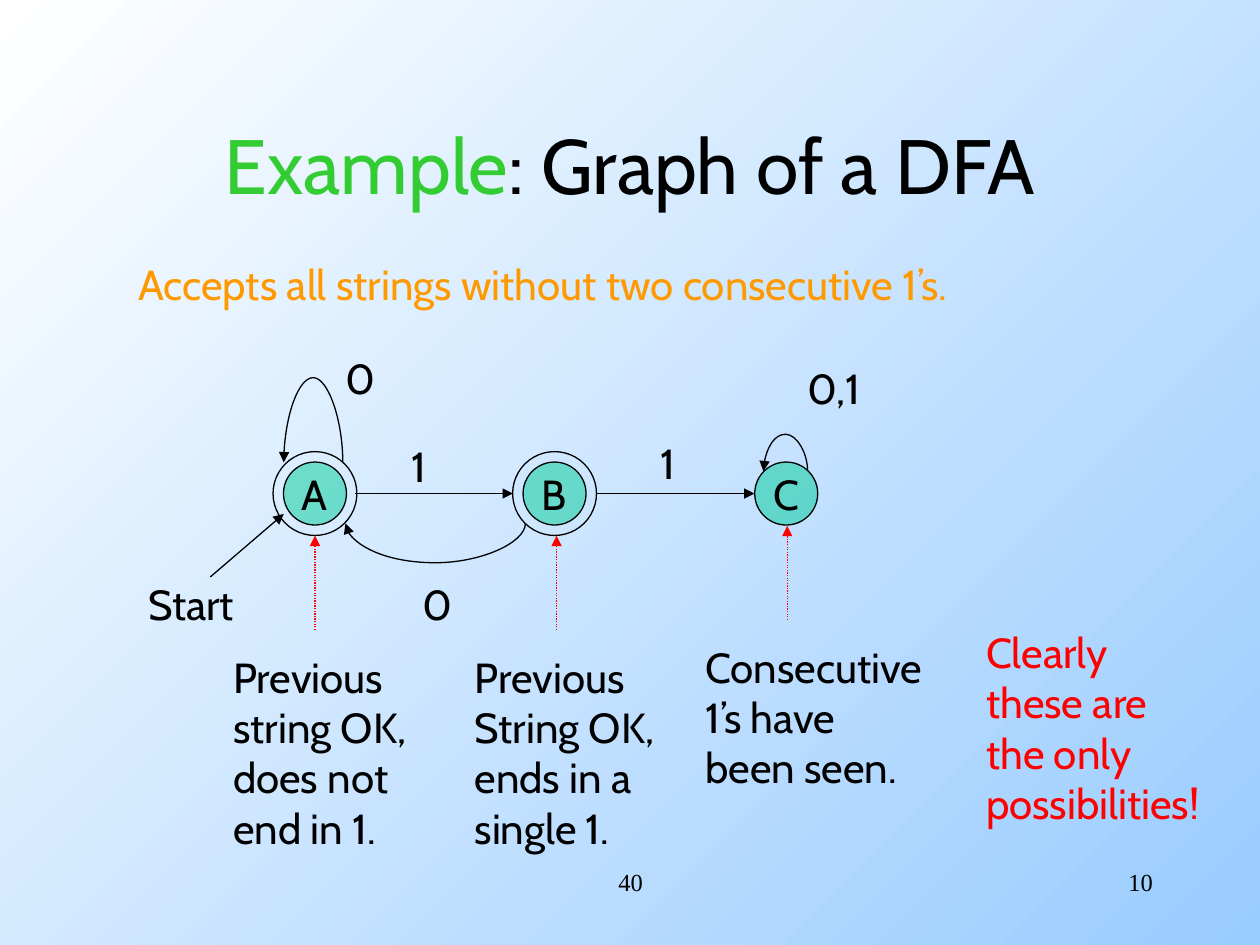
from dataclasses import dataclass

from lxml.etree import SubElement
from pptx import Presentation
from pptx.dml.color import RGBColor
from pptx.enum.dml import MSO_LINE
from pptx.enum.shapes import MSO_CONNECTOR, MSO_SHAPE
from pptx.enum.text import MSO_ANCHOR, MSO_AUTO_SIZE, PP_ALIGN
from pptx.oxml.ns import qn
from pptx.util import Cm, Emu, Pt


@dataclass(frozen=True)
class Theme:
    font: str = "Cabin"
    number_font: str = "Times New Roman"
    title_size: int = 44
    body_size: int = 24
    number_size: int = 14
    line_width: float = 0.75
    black: RGBColor = RGBColor(0, 0, 0)
    white: RGBColor = RGBColor(255, 255, 255)
    sky: RGBColor = RGBColor(0x99, 0xCC, 0xFF)
    green: RGBColor = RGBColor(0x33, 0xCC, 0x33)
    teal: RGBColor = RGBColor(0, 0xCC, 0x99)
    orange: RGBColor = RGBColor(0xFF, 0x99, 0)
    red: RGBColor = RGBColor(0xFF, 0, 0)


class SlideBuilder:
    def __init__(self, slide, theme):
        self.s = slide
        self.theme = theme

    def background(self):
        fill = self.s.background.fill
        fill.gradient()
        fill.gradient_angle = 315
        for stop, color in zip(fill.gradient_stops, (self.theme.white, self.theme.sky)):
            stop.color.rgb = color

    def style(self, p, color, align=PP_ALIGN.LEFT, size=None, font=None):
        p.alignment = align
        p.font.name = font or self.theme.font
        p.font.size = Pt(size or self.theme.body_size)
        if color is not None:
            p.font.color.rgb = color

    def title(self, parts, left, top, width, height):
        sp = self.s.shapes.title
        sp.left, sp.top, sp.width, sp.height = map(Cm, (left, top, width, height))
        tf = sp.text_frame
        tf.vertical_anchor = MSO_ANCHOR.MIDDLE
        p = tf.paragraphs[0]
        self.style(p, None, PP_ALIGN.CENTER, self.theme.title_size)
        for text, color in parts:
            r = p.add_run()
            r.text = text
            r.font.color.rgb = color

    def text(self, text, left, top, width, height=1.27, color=None, wrap=False, **style):
        sp = self.s.shapes.add_textbox(Cm(left), Cm(top), Cm(width), Cm(height))
        tf = sp.text_frame
        tf.text = text
        tf.word_wrap = wrap
        tf.auto_size = MSO_AUTO_SIZE.SHAPE_TO_FIT_TEXT
        for p in tf.paragraphs:
            self.style(p, color or self.theme.black, **style)

    def circle(self, x, y, diameter):
        corner = Cm(x - diameter / 2), Cm(y - diameter / 2)
        sp = self.s.shapes.add_shape(MSO_SHAPE.OVAL, *corner, Cm(diameter), Cm(diameter))
        sp.shadow.inherit = False
        sp.fill.background()
        sp.line.color.rgb = self.theme.black
        sp.line.width = Pt(self.theme.line_width)
        return sp

    def state(self, name, x, y, accepting):
        sp = self.circle(x, y, 1.27)
        sp.fill.solid()
        sp.fill.fore_color.rgb = self.theme.teal
        color = sp._element.spPr.find(qn("a:solidFill"))[0]
        SubElement(color, qn("a:alpha"), val="50000")
        tf = sp.text_frame
        tf.text = name
        tf.word_wrap = False
        tf.vertical_anchor = MSO_ANCHOR.MIDDLE
        self.style(tf.paragraphs[0], self.theme.black, PP_ALIGN.CENTER)
        if accepting:
            self.circle(x, y, 1.69)

    def finish_line(self, cxn, color):
        cxn.line.color.rgb = color
        cxn.line.width = Pt(self.theme.line_width)
        SubElement(cxn.line._get_or_add_ln(), qn("a:tailEnd"), type="triangle")
        SubElement(cxn._element.spPr, qn("a:effectLst"))

    def arrow(self, x1, y1, x2, y2, color=None, dash=None):
        cxn = self.s.shapes.add_connector(
            MSO_CONNECTOR.STRAIGHT, Cm(x1), Cm(y1), Cm(x2), Cm(y2))
        if dash:
            cxn.line.dash_style = dash
        self.finish_line(cxn, color or self.theme.black)

    def arc(self, x1, x2, y, bulge):
        """Curved arrow from x1 leftwards to x2; a positive bulge hangs down."""
        # A hair-thin connector turned on its side; the adjustment sets the bulge
        thin = Emu(1588)
        mid, half = Cm((x1 + x2) / 2), Cm((x1 - x2) / 2)
        cxn = self.s.shapes.add_connector(
            MSO_CONNECTOR.CURVE, mid, Cm(y) - half, mid + thin, Cm(y) + half)
        spPr = cxn._element.spPr
        xfrm = spPr.find(qn("a:xfrm"))
        if bulge > 0:
            xfrm.set("rot", "5400000")
        else:
            xfrm.set("rot", "16200000")
            xfrm.set("flipH", "1")
            xfrm.set("flipV", "1")
        guides = spPr.find(qn("a:prstGeom")).find(qn("a:avLst"))
        ratio = round(Cm(bulge) / thin * 100000)
        SubElement(guides, qn("a:gd"), name="adj1", fmla=f"val {ratio}")
        self.finish_line(cxn, self.theme.black)

    def note(self, text, left, top, width, height):
        """Explanation with a dotted arrow up to its state."""
        self.text(text, left, top, width, height)
        x, y = left + 1.9, top - 0.3
        self.arrow(x, y, x, y - 1.9, self.theme.red, MSO_LINE.ROUND_DOT)


def main():
    theme = Theme()
    prs = Presentation()
    prs.slide_width, prs.slide_height = Cm(25.4), Cm(19.05)
    b = SlideBuilder(prs.slides.add_slide(prs.slide_layouts[5]), theme)

    # Heading
    b.background()
    b.title([("Example", theme.green), (": Graph of a DFA", theme.black)],
            1.9, 1.7, 21.6, 3.18)
    b.text("Accepts all strings without two consecutive 1’s.",
           2.54, 5.08, 18.08, color=theme.orange)

    # Transitions
    axis = 9.95
    b.arrow(4.24, 11.63, 5.72, 10.36)
    b.arrow(7.16, axis, 10.34, axis)
    b.arrow(12.04, axis, 15.21, axis)
    b.arc(6.91, 5.72, 9.32, -1.88)
    b.arc(10.59, 6.96, 10.55, 0.88)
    b.arc(16.28, 15.39, 9.5, -0.82)

    # States
    for name, x, accepting in (("A", 6.35, True), ("B", 11.18, True), ("C", 15.85, False)):
        b.state(name, x, axis, accepting)

    # Transition labels
    for text, left, top, width in (
        ("Start", 2.74, 11.53, 2.29),
        ("0", 6.71, 6.99, 0.97),
        ("1", 8.05, 8.76, 0.97),
        ("0", 8.26, 11.53, 0.97),
        ("1", 13.06, 8.69, 0.97),
        ("0,1", 16.03, 7.19, 1.7),
    ):
        b.text(text, left, top, width)

    # Meaning of each state
    b.note("Previous\nstring OK,\ndoes not\nend in 1.", 4.45, 13, 4.22, 4.32)
    b.note("Previous\nString OK,\nends in a\nsingle 1.", 9.32, 13, 4.32, 4.32)
    b.note("Consecutive\n1’s have\nbeen seen.", 13.97, 12.8, 4.98, 3.3)
    b.text("Clearly these are the only possibilities!", 19.63, 12.5, 5.08, 4.37,
           color=theme.red, wrap=True)

    # Footer numbers
    number = dict(wrap=True, size=theme.number_size, font=theme.number_font)
    b.text("40", 8.69, 17.35, 8.05, align=PP_ALIGN.CENTER, **number)
    b.text("10", 18.21, 17.35, 5.28, align=PP_ALIGN.RIGHT, **number)

    prs.save("out.pptx")


if __name__ == "__main__":
    main()
